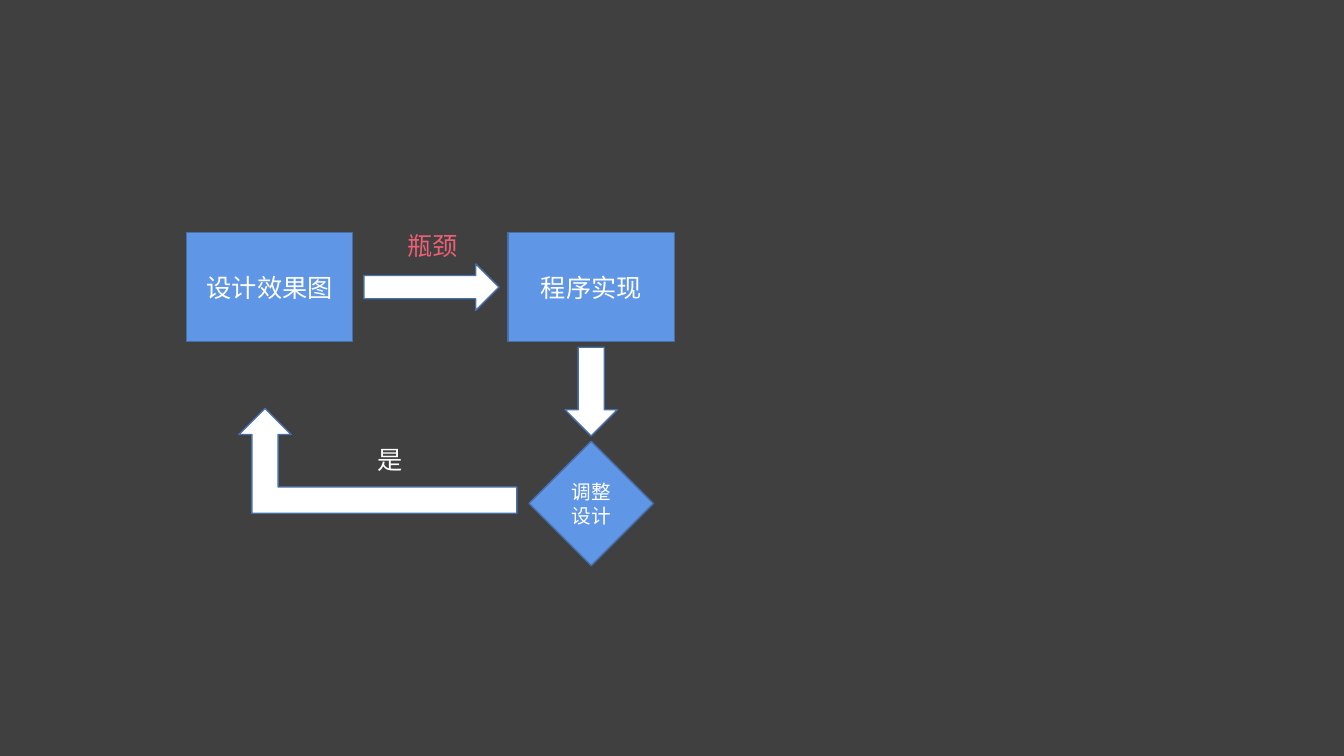
from pptx import Presentation
from pptx.dml.color import RGBColor as RGB
from pptx.enum.shapes import MSO_SHAPE as Kind
from pptx.enum.text import MSO_ANCHOR as Anchor, MSO_AUTO_SIZE as Fit, PP_ALIGN as Align
from pptx.oxml.ns import qn
from pptx.util import Pt

COLORS = {"back": "404040", "blue": "6096E6", "edge": "476FAA",
          "white": "FFFFFF", "red": "EC5F74"}


def tint(name):
    return RGB.from_string(COLORS[name])


def write(frame, text, size=18, color="white", align=Align.CENTER,
          anchor=Anchor.MIDDLE, wrap=True):
    frame.word_wrap = wrap
    frame.vertical_anchor = anchor
    para = frame.paragraphs[0]
    para.alignment = align
    run = para.add_run()
    run.text = text
    run.font.name = "Arial"
    run.font.size = Pt(size)
    run.font.color.rgb = tint(color)


def draw(slide, kind, box, fill="white", flip=False):
    shape = slide.shapes.add_shape(kind, *map(Pt, box))
    shape.shadow.inherit = False
    shape.fill.solid()
    shape.fill.fore_color.rgb = tint(fill)
    shape.line.color.rgb = tint("edge")
    shape.line.width = Pt(1)
    if flip:
        shape.element.spPr.find(qn("a:xfrm")).set("flipH", "1")
    return shape


def step(slide, kind, box, text, size=18):
    write(draw(slide, kind, box, "blue").text_frame, text, size=size)


def label(slide, box, text, color="white"):
    frame = slide.shapes.add_textbox(*map(Pt, box)).text_frame
    write(frame, text, color=color, align=Align.LEFT, anchor=Anchor.TOP, wrap=False)
    frame.auto_size = Fit.SHAPE_TO_FIT_TEXT


def flow(slide, box):
    x, y, w, h = box
    wide, high = 118.8, 77.8
    right = x + w - wide
    mid = right + wide / 2

    # Steps
    step(slide, Kind.RECTANGLE, (x, y, wide, high), "设计效果图")
    step(slide, Kind.RECTANGLE, (right, y, wide, high), "程序实现")
    side = 88.8
    step(slide, Kind.DIAMOND, (mid - side / 2, y + h - side, side, side),
         "调整设计", size=14)

    # Arrows between the steps
    thick = 33.2
    draw(slide, Kind.RIGHT_ARROW,
         (x + wide + 8, y + (high - thick) / 2, 96.5, thick))
    thick = 37.4
    draw(slide, Kind.DOWN_ARROW, (mid - thick / 2, y + high + 4, thick, 63.4))
    draw(slide, Kind.BENT_UP_ARROW, (x + 37.4, y + 125.5, 198.7, 74.9), flip=True)

    # Arrow labels
    label(slide, (x + 150.5, y - 5, 50.4, 28.8), "瓶颈", color="red")
    label(slide, (x + 129.6, y + 147.6, 32.4, 28.8), "是")


def main():
    deck = Presentation()
    deck.slide_width, deck.slide_height = Pt(960), Pt(540)
    slide = deck.slides.add_slide(deck.slide_layouts[6])
    slide.background.fill.solid()
    slide.background.fill.fore_color.rgb = tint("back")
    flow(slide, (133.2, 166.2, 348.5, 237.8))
    deck.save("out.pptx")


if __name__ == "__main__":
    main()
